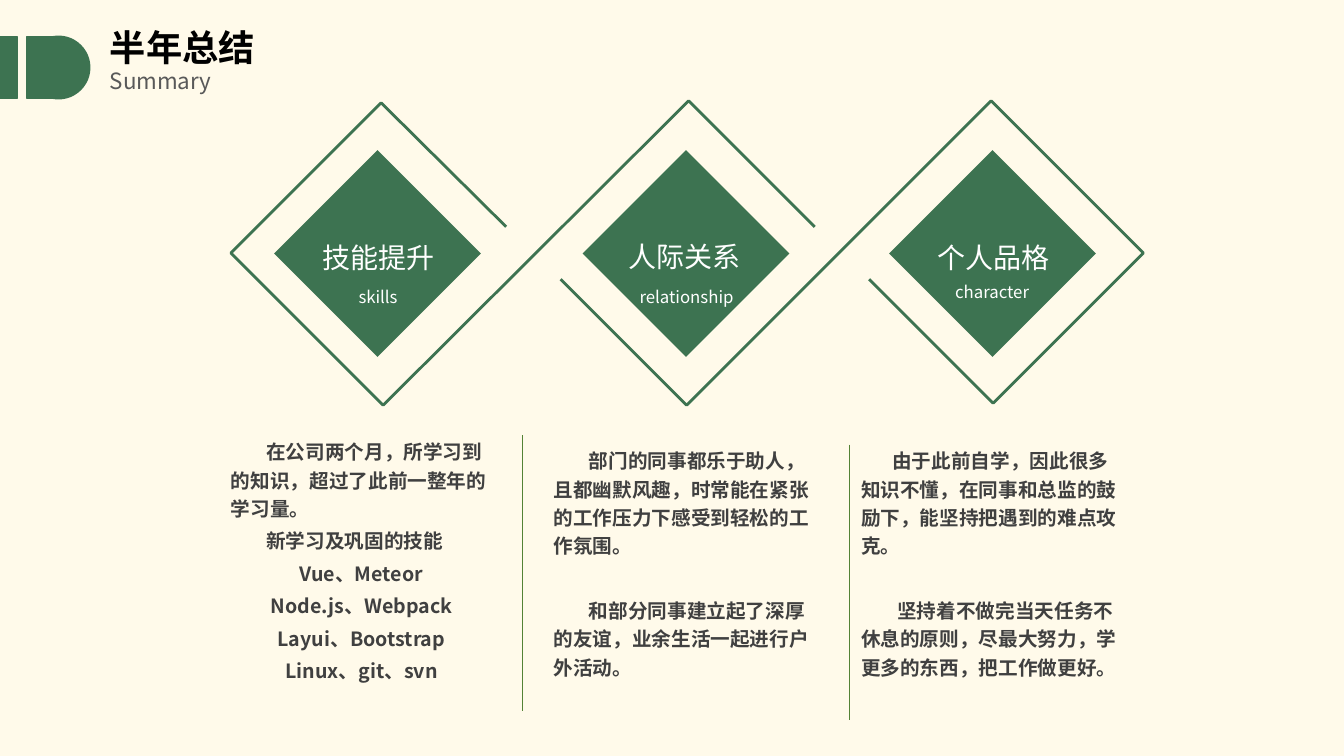
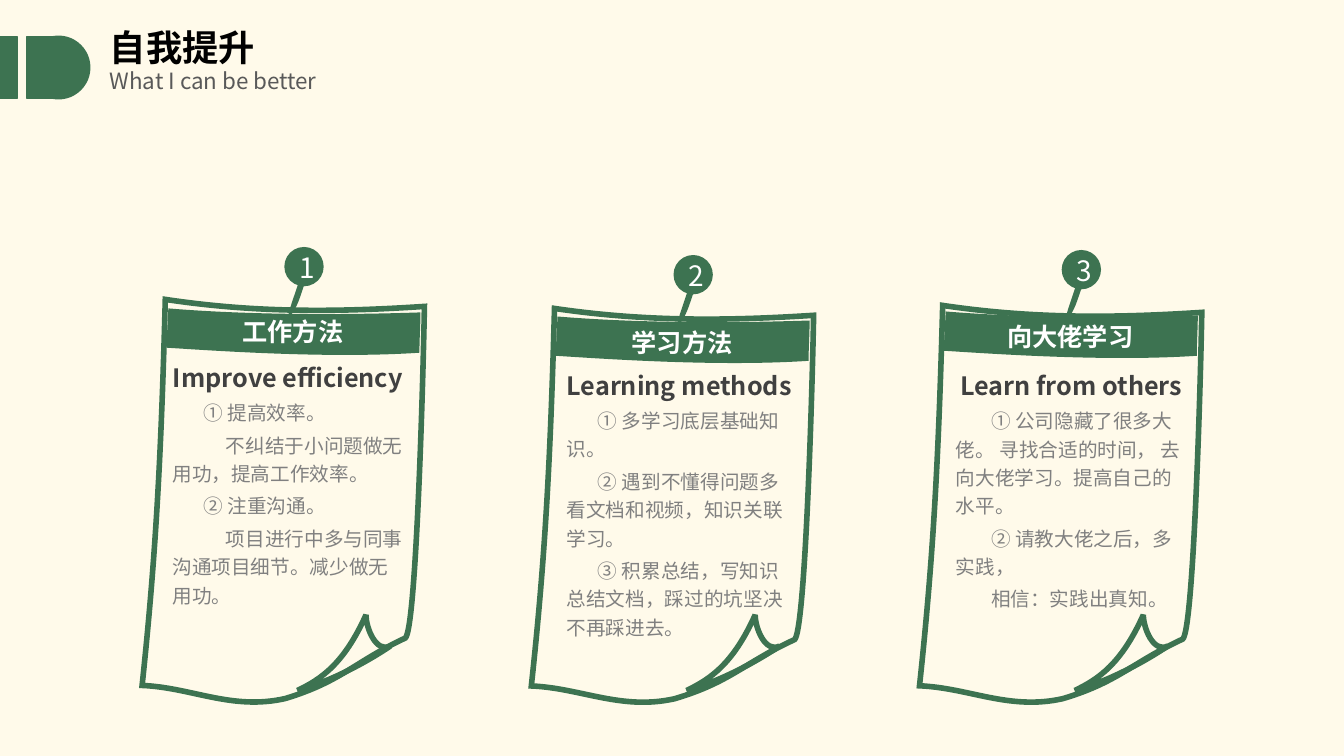
"""Builds two half-year review slides: a summary and a self-improvement plan."""
import lxml.etree
import pptx
import pptx.dml.color
import pptx.enum.shapes
import pptx.enum.text
import pptx.oxml.ns
import pptx.util

PX = 9144
FONT = "Noto Sans CJK SC"
COLORS = {
    "paper": "FFFAEA", "green": "3D7351", "rule": "548235", "black": "000000",
    "subtitle": "595959", "dark": "404040", "gray": "808080", "white": "FFFFFF",
}
SHAPE = pptx.enum.shapes.MSO_SHAPE
LEFT = pptx.enum.text.PP_ALIGN.LEFT
CENTER = pptx.enum.text.PP_ALIGN.CENTER
MIDDLE = pptx.enum.text.MSO_ANCHOR.MIDDLE
TOP = pptx.enum.text.MSO_ANCHOR.TOP
qn = pptx.oxml.ns.qn

COLUMNS = [
    (302, (284, 227), (284, 276), "技能提升", "skills", 229, 432, 245, [
        ("在公司两个月，所学习到的知识，超过了此前一整年的学习量。", 35, LEFT, 0),
        ("新学习及巩固的技能", 35, LEFT, 3),
        ("Vue、Meteor", 0, CENTER, 3),
        ("Node.js、Webpack", 0, CENTER, 3),
        ("Layui、Bootstrap", 0, CENTER, 3),
        ("Linux、git、svn", 0, CENTER, 3)]),
    (608, (588, 226), (590, 276), "人际关系", "relationship", 549, 441, 233, [
        ("部门的同事都乐于助人，且都幽默风趣，时常能在紧张的工作压力下感受到轻松的工作氛围。",
         35, LEFT, 0),
        ("和部分同事建立起了深厚的友谊，业余生活一起进行户外活动。", 35, LEFT, 26)]),
    (912, (894, 227), (893, 271), "个人品格", "character", 854, 441, 233, [
        ("由于此前自学，因此很多知识不懂，在同事和总监的鼓励下，能坚持把遇到的难点攻克。",
         31, LEFT, 0),
        ("坚持着不做完当天任务不休息的原则，尽最大努力，学更多的东西，把工作做更好。",
         36, LEFT, 26)]),
]
DIVIDERS = [(842, 441), (518, 432)]
ZIGZAGS = [
    [(579, 125), (454, 0), (151, 302), (0, 151), (149, 2), (273, 125)],
    [(327, 177), (452, 302), (754, 0), (905, 151), (756, 300), (633, 177)],
]

NOTES = [
    (141, 297, 306, "工作方法", 309, 30, 353, 249, "Improve efficiency", CENTER, [
        ("① 提高效率。", 31),
        ("不纠结于小问题做无用功，提高工作效率。", 53),
        ("② 注重沟通。", 31),
        ("项目进行中多与同事沟通项目细节。减少做无用功。", 53)]),
    (527, 306, 314, "学习方法", 320, 35, 361, 306, "Learning methods", LEFT, [
        ("① 多学习底层基础知识。", 31),
        ("② 遇到不懂得问题多看文档和视频，知识关联学习。", 31),
        ("③ 积累总结，写知识总结文档，踩过的坑坚决不再踩进去。", 31)]),
    (912, 303, 309, "向大佬学习", 314, 36, 361, 245, "Learn from others", CENTER, [
        ("① 公司隐藏了很多大佬。 寻找合适的时间， 去向大佬学习。提高自己的水平。", 35),
        ("② 请教大佬之后，多实践，", 35),
        ("相信：实践出真知。", 35)]),
]
NOTE_BOTTOM = 705
SHEET_HEIGHT = 408
SHEET = [(23, 0), (109, 13), (189, 13), (280, 7), (278, 112), (271, 329), (261, 336),
         (210, 360), (198, 379), (142, 396), (89, 408), (49, 385), (0, 383),
         (14, 251), (19, 151), (23, 0)]
CURL = [(0, 75), (23, 64), (46, 49), (68, 0), (68, 13), (78, 38), (92, 31),
        (64, 50), (27, 68), (0, 75)]
BAND = [(2, 0), (74, 6), (162, 7), (252, 4), (252, 18), (251, 30), (251, 44),
        (161, 50), (48, 42), (0, 39)]
PIN = [(11, 0), (2, 27), (3, 23), (0, 36), (10, 26), (13, 12), (17, 1)]


def rgb(name):
    """Return the named colour."""
    return pptx.dml.color.RGBColor.from_string(COLORS[name])


def paint(sp, fill=None, line=None, width=1):
    """Set fill and outline, leaving out whichever is not named."""
    sp.shadow.inherit = False
    if fill:
        sp.fill.solid()
        sp.fill.fore_color.rgb = rgb(fill)
    else:
        sp.fill.background()
    if line:
        sp.line.color.rgb = rgb(line)
        sp.line.width = pptx.util.Pt(width)
    else:
        sp.line.fill.background()
    return sp


def shape(s, kind, x, y, w, h, **look):
    """Add a painted preset shape."""
    return paint(s.shapes.add_shape(kind, x * PX, y * PX, w * PX, h * PX), **look)


def outline(s, x, y, points, closed, **look):
    """Add a painted freeform whose points are relative to x, y."""
    emu = [((x + px) * PX, (y + py) * PX) for px, py in points]
    fb = s.shapes.build_freeform(*emu[0], scale=1.0)
    fb.add_line_segments(emu[1:], close=closed)
    return paint(fb.convert_to_shape(), **look)


def curved(s, x, y, points, **look):
    """Add a closed freeform of cubic curves, three points to a segment."""
    sp = outline(s, x, y, points, True, **look)
    steps = list(sp.element.iter(qn("a:lnTo")))
    for i in range(0, len(points) - 1, 3):
        bezier = lxml.etree.Element(qn("a:cubicBezTo"))
        steps[i].addprevious(bezier)
        for step in steps[i:i + 3]:
            bezier.append(step[0])
            step.getparent().remove(step)
    return sp


def pen(sp):
    """Give an outline mitred corners and round ends."""
    ln = sp.element.spPr.find(qn("a:ln"))
    lxml.etree.SubElement(ln, qn("a:miter")).set("lim", "800000")
    for end in ("a:headEnd", "a:tailEnd"):
        lxml.etree.SubElement(ln, qn(end)).set("type", "oval")


def frame(sp, anchor=MIDDLE, wrap=True, inset=0, shift=0):
    """Prepare a text frame; shift moves centred text down by half its value."""
    tf = sp.text_frame
    tf.word_wrap = wrap
    tf.auto_size = pptx.enum.text.MSO_AUTO_SIZE.NONE
    tf.vertical_anchor = anchor
    tf.margin_left = tf.margin_right = inset * PX
    tf.margin_top = max(shift, 0) * PX
    tf.margin_bottom = max(-shift, 0) * PX
    return tf


def add_run(p, text, size, color, bold=False):
    """Add one formatted run."""
    r = p.add_run()
    r.text = text
    r.font.size = pptx.util.Pt(size)
    r.font.bold = bold
    r.font.color.rgb = rgb(color)
    r.font.name = FONT
    lxml.etree.SubElement(r.font._element, qn("a:ea")).set("typeface", FONT)


def label(s, x, y, w, h, text, size, color, bold=False, align=CENTER, inset=0, shift=0):
    """Add a one-line text box."""
    sp = s.shapes.add_textbox(x * PX, y * PX, w * PX, h * PX)
    p = frame(sp, inset=inset, shift=shift).paragraphs[0]
    p.alignment = align
    add_run(p, text, size, color, bold)


def body(s, x, y, w, h, rows):
    """Add paragraphs given as text, indent, alignment, space before, size, colour, bold."""
    tf = frame(s.shapes.add_textbox(x * PX, y * PX, w * PX, h * PX), TOP)
    for i, (text, indent, align, before, size, color, bold) in enumerate(rows):
        p = tf.add_paragraph() if i else tf.paragraphs[0]
        p.alignment = align
        p.line_spacing = pptx.util.Pt(round(size * 1.44, 1))
        p.space_before = pptx.util.Pt(before)
        if indent:
            p._p.get_or_add_pPr().set("indent", str(indent * PX))
        add_run(p, text, size, color, bold)


def header_marks(s, layout):
    """Draw the corner marks and move them to the layout."""
    marks = [(SHAPE.RECTANGLE, 0, 17), (SHAPE.RECTANGLE, 27, 27), (SHAPE.OVAL, 27, 62)]
    for i, (kind, x, w) in enumerate(marks):
        sp = shape(s, kind, x, 36, w, 62, fill="green", line="green")
        sp.element.xpath(".//p:cNvPr")[0].set("id", str(100 + i))
        layout.shapes.element.append(sp.element)


def add_slide(prs, title, subtitle):
    """Add a slide with the shared heading."""
    s = prs.slides.add_slide(prs.slide_layouts[5])
    sp = s.shapes.title
    sp.left, sp.top, sp.width, sp.height = 99 * PX, 28 * PX, 862 * PX, 47 * PX
    p = frame(sp, inset=10, shift=-10).paragraphs[0]
    p.alignment = LEFT
    add_run(p, title, 25.9, "black", True)
    label(s, 99, 67, 862, 33, subtitle, 16, "subtitle", align=LEFT, inset=10, shift=-8)
    return s


def divider(s, x, y, h):
    """Draw a thin vertical rule."""
    cn = s.shapes.add_connector(pptx.enum.shapes.MSO_CONNECTOR.STRAIGHT,
                                x * PX, y * PX, x * PX, (y + h) * PX)
    cn.line.color.rgb = rgb("rule")
    cn.line.width = pptx.util.Pt(0.5)
    lxml.etree.SubElement(cn.element.spPr, qn("a:effectLst"))


def column(s, tile_x, title_at, caption_at, title, caption, x, y, h, rows):
    """Draw a tilted tile with two labels and the text below it."""
    shape(s, SHAPE.RECTANGLE, tile_x, 179, 145, 145, fill="green").rotation = 315
    label(s, *title_at, 182, 47, title, 20, "white", shift=9)
    label(s, *caption_at, 182, 32, caption, 12, "white", shift=4)
    body(s, x, y, 259, h, [row + (14, "dark", True) for row in rows])


def summary(s):
    """Fill the summary slide."""
    for points in ZIGZAGS:
        outline(s, 229, 100, points, False, line="green", width=2)
    for row in COLUMNS:
        column(s, *row)
    for x, y in DIVIDERS:
        divider(s, x, y, 273)


def note(s, number, x, top, head, title, title_y, text_dx, text_y, text_h,
         heading, align, rows):
    """Draw a pinned note whose left edge is x."""
    ratio = (NOTE_BOTTOM - top) / SHEET_HEIGHT
    sheet = [(px, py * ratio) for px, py in SHEET]
    pen(curved(s, x, top, sheet, line="green", width=4))
    pen(curved(s, x + 154, NOTE_BOTTOM - 95, CURL, line="green", width=4))
    curved(s, x + 24, head, BAND, fill="green")
    curved(s, x + 144, head - 25, PIN, fill="green")
    sp = shape(s, SHAPE.OVAL, x + 141, head - 61, 39, 39, fill="green")
    tf = frame(sp, wrap=False, shift=1)
    tf.margin_left = 6 * PX
    tf.paragraphs[0].alignment = CENTER
    add_run(tf.paragraphs[0], str(number), 20, "white")
    body(s, x + text_dx, text_y, 229, text_h,
         [(heading, 0, align, 0, 18, "dark", True)]
         + [(text, indent, LEFT, 3, 14, "gray", False) for text, indent in rows])
    label(s, x + 65, title_y, 169, 40, title, 18, "white", True)


def improvement(s):
    """Fill the self-improvement slide."""
    for number, row in enumerate(NOTES, 1):
        note(s, number, *row)


def main():
    """Build and save the presentation."""
    prs = pptx.Presentation()
    prs.slide_width, prs.slide_height = 1333 * PX, 750 * PX
    fill = prs.slide_master.background.fill
    fill.solid()
    fill.fore_color.rgb = rgb("paper")
    s = add_slide(prs, "半年总结", "Summary")
    header_marks(s, prs.slide_layouts[5])
    summary(s)
    improvement(add_slide(prs, "自我提升", "What I can be better"))
    prs.save("out.pptx")


if __name__ == "__main__":
    main()
